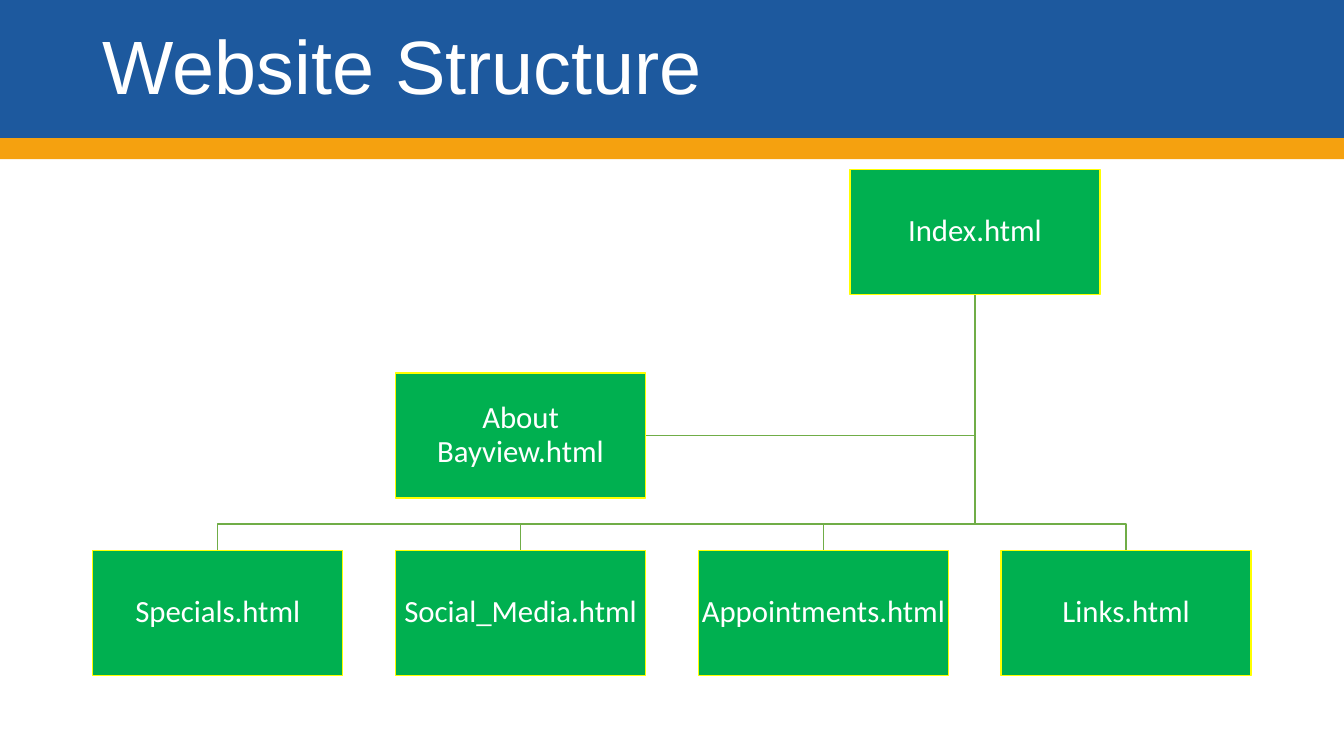
from pptx import Presentation
from pptx import util as u
from pptx.dml.color import RGBColor
from pptx.enum import shapes, text

BLUE = RGBColor(0x1D, 0x59, 0x9E)
ORANGE = RGBColor(0xF5, 0xA1, 0x0F)
GREEN = RGBColor(0x00, 0xB0, 0x50)
YELLOW = RGBColor(0xFF, 0xFF, 0x00)
LINK_GREEN = RGBColor(0x70, 0xAD, 0x47)
WHITE = RGBColor(0xFF, 0xFF, 0xFF)

SLIDE_W, SLIDE_H = 13.33, 7.5
BOX_W, BOX_H = 2.48, 1.24


class SiteMap:
    """Style and current slide, with a method for each kind of element."""

    def __init__(self, page):
        self.page = page

    def style_text(self, frame, font_name, size):
        frame.word_wrap = True
        frame.auto_size = text.MSO_AUTO_SIZE.NONE
        frame.vertical_anchor = text.MSO_ANCHOR.MIDDLE
        para = frame.paragraphs[0]
        para.line_spacing = 0.9
        para.font.name = font_name
        para.font.size = u.Pt(size)
        para.font.color.rgb = WHITE
        return para

    def rectangle(self, left, top, width, height, fill):
        box = self.page.shapes.add_shape(
            shapes.MSO_SHAPE.RECTANGLE,
            *map(u.Inches, (left, top, width, height)))
        box.shadow.inherit = False
        box.fill.solid()
        box.fill.fore_color.rgb = fill
        box.line.fill.background()
        return box

    def title(self, wording):
        title = self.page.shapes.title
        title.left, title.top = u.Inches(0.92), u.Inches(0.02)
        title.width, title.height = u.Inches(11.5), u.Inches(1.35)
        title.text_frame.text = wording
        para = self.style_text(title.text_frame, "Arial", 54)
        para.alignment = text.PP_ALIGN.LEFT
        # Bring the title in front of the bands
        self.page.shapes._spTree.append(title._element)

    def file_box(self, left, top, name):
        box = self.rectangle(left, top, BOX_W, BOX_H, GREEN)
        box.line.color.rgb = YELLOW
        box.line.width = u.Pt(1)
        frame = box.text_frame
        frame.text = name
        frame.margin_left = frame.margin_right = u.Inches(0.02)
        frame.margin_top = frame.margin_bottom = u.Inches(0.02)
        para = self.style_text(frame, "Calibri", 22)
        para.alignment = text.PP_ALIGN.CENTER

    def link(self, *points):
        start, *rest = [(u.Inches(x), u.Inches(y)) for x, y in points]
        builder = self.page.shapes.build_freeform(*start)
        builder.add_line_segments(rest, close=False)
        line = builder.convert_to_shape()
        line.shadow.inherit = False
        line.fill.background()
        line.line.color.rgb = LINK_GREEN
        line.line.width = u.Pt(1)


deck = Presentation()
deck.slide_width, deck.slide_height = u.Inches(SLIDE_W), u.Inches(SLIDE_H)
site = SiteMap(deck.slides.add_slide(deck.slide_layouts[5]))

# Header bands and title
site.rectangle(0, 0, SLIDE_W, 1.47, BLUE)
site.rectangle(0, 1.37, SLIDE_W, 0.21, ORANGE)
site.title("Website Structure")

# Rows and columns of the chart
FIRST_LEFT, COLUMN_STEP = 0.92, 3.003
INDEX_LEFT, INDEX_TOP = 8.43, 1.68
ABOUT_TOP, PAGES_TOP, BRANCH_Y = 3.7, 5.46, 5.2
page_names = ["Specials.html", "Social_Media.html", "Appointments.html",
              "Links.html"]
lefts = [FIRST_LEFT + i * COLUMN_STEP for i in range(len(page_names))]
about_left = lefts[1]
trunk_x, trunk_y = INDEX_LEFT + BOX_W / 2, INDEX_TOP + BOX_H

# Links from the index page
about_y = ABOUT_TOP + BOX_H / 2
site.link((trunk_x, trunk_y), (trunk_x, about_y),
          (about_left + BOX_W, about_y))
for left in reversed(lefts):
    center = left + BOX_W / 2
    site.link((trunk_x, trunk_y), (trunk_x, BRANCH_Y),
              (center, BRANCH_Y), (center, PAGES_TOP))

# File boxes
site.file_box(INDEX_LEFT, INDEX_TOP, "Index.html")
for left, name in zip(lefts, page_names):
    site.file_box(left, PAGES_TOP, name)
site.file_box(about_left, ABOUT_TOP, "About Bayview.html")

deck.save("out.pptx")
